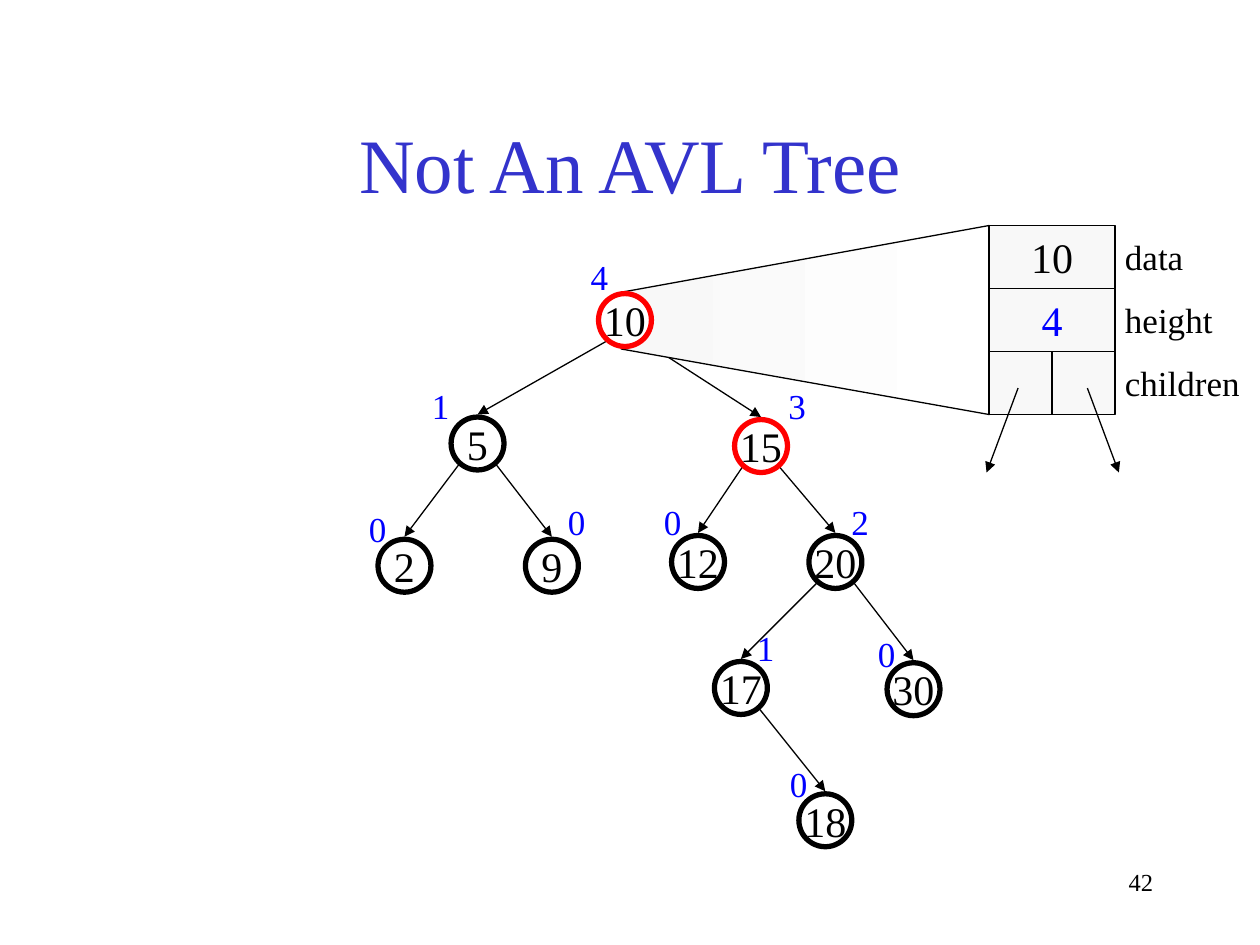
from lxml import etree
from pptx import Presentation
from pptx import util as u
from pptx.dml.color import RGBColor
from pptx.enum import shapes, text
from pptx.oxml.ns import qn

COLORS = {
    "black": "000000",
    "white": "FFFFFF",
    "red": "FF0000",
    "blue": "0000FF",
    "title": "3333CC",
    "cell": "F8F8F8",
}
FONT = "Times New Roman"
NODE_SIZE = 0.42
CELL = 0.5
RECORD_LEFT, RECORD_TOP = 7.85, 1.79

# value: (left, top, outline, height, height label left, height label top)
NODES = {
    10: (4.75, 2.33, "red", 4, 4.59, 1.98),
    5: (3.58, 3.31, "black", 1, 3.33, 3.0),
    15: (5.83, 3.33, "red", 3, 6.16, 3.0),
    2: (3.0, 4.28, "black", 0, 2.83, 3.98),
    9: (4.17, 4.28, "black", 0, 4.41, 3.92),
    12: (5.33, 4.25, "black", 0, 5.17, 3.92),
    20: (6.42, 4.25, "black", 2, 6.66, 3.92),
    17: (5.67, 5.25, "black", 1, 5.91, 4.92),
    30: (7.04, 5.26, "black", 0, 6.87, 4.97),
    18: (6.34, 6.3, "black", 0, 6.17, 6.0),
}
EDGES = [(10, 5), (10, 15), (5, 2), (5, 9), (15, 12), (15, 20),
         (20, 17), (20, 30), (17, 18)]


def rgb(color):
    return RGBColor.from_string(COLORS[color])


def write(shape, content, size, color, align):
    frame = shape.text_frame
    frame.text = content
    paragraph = frame.paragraphs[0]
    paragraph.alignment = align
    for run in paragraph.runs:
        run.font.name = FONT
        run.font.size = u.Pt(size)
        run.font.color.rgb = rgb(color)


def add_label(slide, content, box, color="black"):
    """One-line label whose box grows with its text."""
    label = slide.shapes.add_textbox(*map(u.Inches, box))
    label.text_frame.word_wrap = False
    label.text_frame.auto_size = text.MSO_AUTO_SIZE.SHAPE_TO_FIT_TEXT
    write(label, content, 20, color, text.PP_ALIGN.LEFT)


def add_slide_number(slide, number):
    box = slide.shapes.add_textbox(*map(u.Inches, (7.17, 6.83, 2.08, 0.5)))
    box.text_frame.word_wrap = True
    write(box, number, 14, "black", text.PP_ALIGN.RIGHT)


def add_box(slide, kind, box, content="", fill=None, line="black",
            width=0.75, color="black"):
    shape = slide.shapes.add_shape(kind, *map(u.Inches, box))
    shape.shadow.inherit = False
    if fill:
        shape.fill.solid()
        shape.fill.fore_color.rgb = rgb(fill)
    else:
        shape.fill.background()
    shape.line.color.rgb = rgb(line)
    shape.line.width = u.Pt(width)
    if content:
        shape.text_frame.word_wrap = False
        shape.text_frame.vertical_anchor = text.MSO_ANCHOR.MIDDLE
        write(shape, content, 24, color, text.PP_ALIGN.CENTER)


def add_arrow(slide, start, end):
    arrow = slide.shapes.add_connector(
        shapes.MSO_CONNECTOR.STRAIGHT, *map(u.Inches, (*start, *end)))
    arrow.line.color.rgb = rgb("black")
    arrow.line.width = u.Pt(0.75)
    line = arrow.line._get_or_add_ln()
    etree.SubElement(line, qn("a:tailEnd"), type="triangle")
    etree.SubElement(line.getparent(), qn("a:effectLst"))


def add_edge(slide, parent, child):
    """Arrow from a lower corner of the parent to just above the child."""
    parent_left, parent_top = NODES[parent][:2]
    child_left, child_top = NODES[child][:2]
    offset = 0.06 if child_left < parent_left else NODE_SIZE - 0.06
    add_arrow(slide, (parent_left + offset, parent_top + 0.38),
              (child_left + NODE_SIZE / 2, child_top - 0.02))


def add_node(slide, value):
    left, top, outline, height, label_left, label_top = NODES[value]
    add_box(slide, shapes.MSO_SHAPE.OVAL, (left, top, NODE_SIZE, NODE_SIZE),
            str(value), "white" if value == 10 else None, outline, 3)
    add_label(slide, str(height), (label_left, label_top, 0.34, 0.44), "blue")


def add_zoom_wedge(slide):
    bottom = RECORD_TOP + 3 * CELL
    corners = [(RECORD_LEFT, bottom), (4.93, 2.77), (4.93, 2.32),
               (RECORD_LEFT, RECORD_TOP)]
    points = [tuple(map(u.Inches, corner)) for corner in corners]
    builder = slide.shapes.build_freeform(*points[0])
    builder.add_line_segments(points[1:], close=True)
    wedge = builder.convert_to_shape()
    wedge.shadow.inherit = False
    wedge.fill.gradient()
    wedge.fill.gradient_angle = 0
    for stop, color in zip(wedge.fill.gradient_stops, ("cell", "white")):
        stop.color.rgb = rgb(color)
    wedge.line.color.rgb = rgb("black")
    wedge.line.width = u.Pt(0.75)


def add_record(slide):
    # column, row, width in cells, text, text colour
    cells = [(0, 0, 2, "10", "black"), (0, 1, 2, "4", "blue"),
             (0, 2, 1, "", "black"), (1, 2, 1, "", "black")]
    for column, row, span, content, color in cells:
        add_box(slide, shapes.MSO_SHAPE.RECTANGLE,
                (RECORD_LEFT + column * CELL, RECORD_TOP + row * CELL,
                 span * CELL, CELL), content, "cell", color=color)
    for start, end in ((8.08, 7.83), (8.63, 8.88)):
        add_arrow(slide, (start, 3.08), (end, 3.75))
    fields = [("data", 0.68), ("height", 0.92), ("children", 1.13)]
    for row, (name, width) in enumerate(fields):
        add_label(slide, name, (8.83, 1.82 + row * CELL, width, 0.44))


def add_title(slide):
    title = slide.shapes.title
    title.left, title.top, title.width, title.height = map(
        u.Inches, (0.75, 0.67, 8.5, 1.25))
    title.text_frame.vertical_anchor = text.MSO_ANCHOR.MIDDLE
    write(title, "Not An AVL Tree", 44, "title", text.PP_ALIGN.CENTER)


def main():
    presentation = Presentation()
    presentation.slide_width = u.Inches(10)
    presentation.slide_height = u.Inches(7.5)
    slide = presentation.slides.add_slide(presentation.slide_layouts[5])

    add_title(slide)
    # Tree: edges lie beneath the wedge, nodes above it
    for parent, child in EDGES:
        add_edge(slide, parent, child)
    add_zoom_wedge(slide)
    for value in NODES:
        add_node(slide, value)
    # Enlarged view of the root
    add_record(slide)
    add_slide_number(slide, "42")

    presentation.save("out.pptx")


if __name__ == "__main__":
    main()
